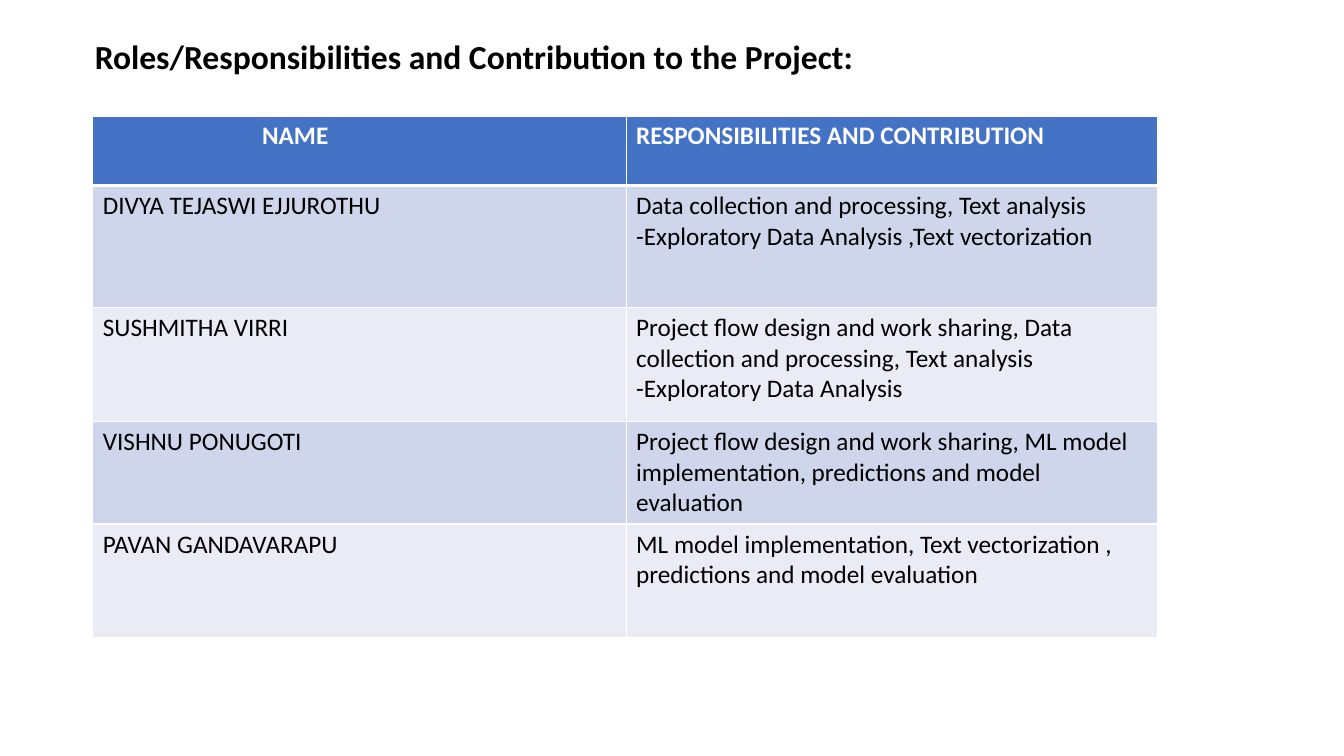
"""Build the slide listing each team member's roles and contributions."""
from lxml import etree
from pptx import Presentation
from pptx import util as u
from pptx.dml.color import RGBColor
from pptx.oxml import ns

WHITE = RGBColor(0xFF, 0xFF, 0xFF)
BLACK = RGBColor(0x00, 0x00, 0x00)
HEADER_BLUE = RGBColor(0x44, 0x72, 0xC4)
BAND_DARK = RGBColor(0xCF, 0xD5, 0xEA)
BAND_LIGHT = RGBColor(0xE9, 0xEB, 0xF5)

ROLES = [
    ("NAME", "RESPONSIBILITIES AND CONTRIBUTION"),
    ("DIVYA TEJASWI EJJUROTHU",
     "Data collection and processing, Text analysis -Exploratory Data Analysis ,Text vectorization"),
    ("SUSHMITHA VIRRI",
     "Project flow design and work sharing, Data collection and processing, Text analysis "
     "-Exploratory Data Analysis"),
    ("VISHNU PONUGOTI",
     "Project flow design and work sharing, ML model implementation, predictions and model evaluation"),
    ("PAVAN GANDAVARAPU",
     "ML model implementation, Text vectorization , predictions and model evaluation"),
]
COLUMN_WIDTHS = [5.29, 5.27]
ROW_HEIGHTS = [0.69, 1.21, 1.13, 1.02, 1.13]


def style_font(font, color, size, bold):
    for name, value in {"name": "Calibri", "size": u.Pt(size), "bold": bold}.items():
        setattr(font, name, value)
    font.color.rgb = color


def add_border(cell, side, width):
    line = etree.SubElement(cell._tc.get_or_add_tcPr(), ns.qn(f"a:ln{side}"), w=str(u.Pt(width)))
    fill = etree.SubElement(line, ns.qn("a:solidFill"))
    etree.SubElement(fill, ns.qn("a:srgbClr"), val=str(WHITE))


deck = Presentation()
deck.slide_width, deck.slide_height = u.Inches(13.33), u.Inches(7.5)
slide = deck.slides.add_slide(deck.slide_layouts[6])

roles = slide.shapes.add_table(
    len(ROLES), len(COLUMN_WIDTHS), u.Inches(0.92), u.Inches(1.15),
    u.Inches(sum(COLUMN_WIDTHS)), u.Inches(sum(ROW_HEIGHTS))).table
for column, width in zip(roles.columns, COLUMN_WIDTHS):
    column.width = u.Inches(width)

for row, (entries, height) in enumerate(zip(ROLES, ROW_HEIGHTS)):
    roles.rows[row].height = u.Inches(height)
    is_header = row == 0
    band = HEADER_BLUE if is_header else (BAND_LIGHT, BAND_DARK)[row % 2]
    for col, entry in enumerate(entries):
        cell = roles.cell(row, col)
        cell.text = entry
        style_font(cell.text_frame.paragraphs[0].runs[0].font,
                   WHITE if is_header else BLACK, 18, is_header)
        for side in "LRTB":
            header_edge = (row, side) in [(0, "B"), (1, "T")]
            add_border(cell, side, 3 if header_edge else 1)
        cell.fill.solid()
        cell.fill.fore_color.rgb = band
roles.cell(0, 0).margin_left = u.Inches(1.68)

title = slide.shapes.add_textbox(
    u.Inches(0.73), u.Inches(0.31), u.Inches(10.38), u.Inches(1.11)).text_frame
title.word_wrap = True
title.margin_left = u.Inches(0.21)
title.text = "Roles/Responsibilities and Contribution to the Project:"
style_font(title.paragraphs[0].runs[0].font, BLACK, 24, True)

deck.save("out.pptx")
